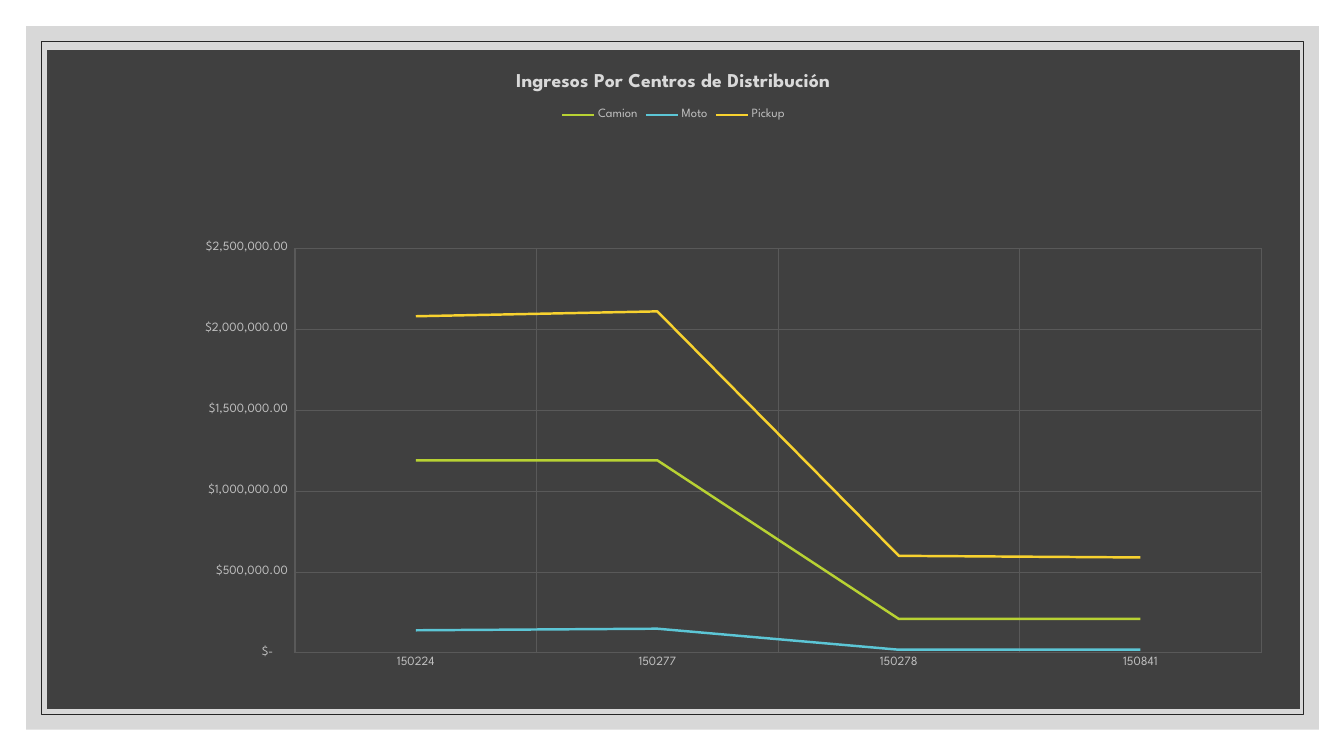
from lxml import etree
from pptx import Presentation
from pptx.chart.data import CategoryChartData
from pptx.dml.color import RGBColor
from pptx.enum import chart as ch, shapes
from pptx.oxml import parse_xml
from pptx.oxml.ns import nsdecls, qn
from pptx.util import Inches, Pt

FONT = "League Spartan"
CATEGORIES = ["150224", "150277", "150278", "150841"]
SERIES = [
    ("Camion", "B8D233", [1190000, 1190000, 210000, 210000]),
    ("Moto", "5CC6D6", [140000, 150000, 20000, 20000]),
    ("Pickup", "F8D22F", [2080000, 2110000, 600000, 590000]),
]
MONEY = r'_-[$$-409]* #,##0.00_ ;_-[$$-409]* \-#,##0.00\ ;_-[$$-409]* "-"??_ ;_-@_ '


def rgb(value):
    return RGBColor.from_string(value)


def style_font(font, size, color, bold=False):
    font.name, font.size, font.bold = FONT, Pt(size), bold
    font.color.rgb = rgb(color)


def style_line(line, color, width):
    line.color.rgb = rgb(color)
    line.width = Pt(width)


def write(tf, value, size, color, bold=False):
    r = tf.paragraphs[0].add_run()
    r.text = value
    style_font(r.font, size, color, bold)


def add_frame(s, left, top, width, height, fill=None, alpha=100, line=None):
    sp = s.shapes.add_shape(
        shapes.MSO_SHAPE.RECTANGLE,
        Inches(left), Inches(top), Inches(width), Inches(height))
    sp.shadow.inherit = False
    if fill:
        sp.fill.solid()
        sp.fill.fore_color.rgb = rgb(fill)
        color = sp.fill._xPr.find(".//" + qn("a:srgbClr"))
        etree.SubElement(color, qn("a:alpha"), val=str(alpha * 1000))
    else:
        sp.fill.background()
    if line:
        style_line(sp.line, line, 0.5)
    else:
        sp.line.fill.background()


def style_axis(axis):
    axis.major_tick_mark = axis.minor_tick_mark = ch.XL_TICK_MARK.NONE
    axis.format.line.fill.background()
    axis.has_major_gridlines = True
    style_line(axis.major_gridlines.format.line, "595959", 0.75)
    style_font(axis.tick_labels.font, 9, "BFBFBF")


def fill_chart_area(chart, fill, border):
    chart._chartSpace.find(qn("c:chart")).addnext(parse_xml(
        f'<c:spPr {nsdecls("c", "a")}>'
        f'<a:solidFill><a:srgbClr val="{fill}"/></a:solidFill>'
        f'<a:ln w="{Pt(0.75)}"><a:solidFill><a:srgbClr val="{border}"/>'
        '</a:solidFill></a:ln></c:spPr>'))


def place_plot(chart, x, y, w, h):
    plot_area = chart._chartSpace.find(".//" + qn("c:plotArea"))
    for old in plot_area.findall(qn("c:layout")):
        plot_area.remove(old)
    sizes = "".join(f'<c:{k} val="{v}"/>' for k, v in zip("xywh", (x, y, w, h)))
    plot_area.insert(0, parse_xml(
        f'<c:layout {nsdecls("c")}><c:manualLayout>'
        '<c:layoutTarget val="inner"/><c:xMode val="edge"/><c:yMode val="edge"/>'
        f'{sizes}</c:manualLayout></c:layout>'))


def add_income_chart(s):
    data = CategoryChartData()
    data.categories = CATEGORIES
    for name, _, values in SERIES:
        data.add_series(name, values)
    chart = s.shapes.add_chart(
        ch.XL_CHART_TYPE.LINE, Inches(0.46), Inches(0.49),
        Inches(12.44), Inches(6.55), data).chart
    style_font(chart.font, 10, "000000")
    fill_chart_area(chart, "404040", "D9D9D9")
    place_plot(chart, 0.198, 0.301, 0.771, 0.614)

    chart.has_title = True
    write(chart.chart_title.text_frame, "Ingresos Por Centros de Distribución",
          size=14, color="D9D9D9", bold=True)
    chart.has_legend = True
    chart.legend.position = ch.XL_LEGEND_POSITION.TOP
    chart.legend.include_in_layout = False
    style_font(chart.legend.font, 9, "BFBFBF")

    style_axis(chart.category_axis)
    axis = chart.value_axis
    style_axis(axis)
    axis.minimum_scale, axis.maximum_scale, axis.major_unit = 0, 2500000, 500000
    axis.tick_labels.number_format = MONEY
    axis.tick_labels.number_format_is_linked = False

    plot = chart.plots[0]
    plot.vary_by_categories = False
    for series, (_, color, _) in zip(plot.series, SERIES):
        series.smooth = False
        series.marker.style = ch.XL_MARKER_STYLE.NONE
        style_line(series.format.line, color, 1.75)


def main():
    prs = Presentation()
    prs.slide_width, prs.slide_height = Inches(13.33), Inches(7.5)
    s = prs.slides.add_slide(prs.slide_layouts[6])
    add_frame(s, 0.26, 0.26, 12.82, 6.98, fill="BFBFBF", alpha=60)
    add_frame(s, 0.41, 0.41, 12.52, 6.68, line="262626")
    add_income_chart(s)
    prs.save("out.pptx")


if __name__ == "__main__":
    main()
